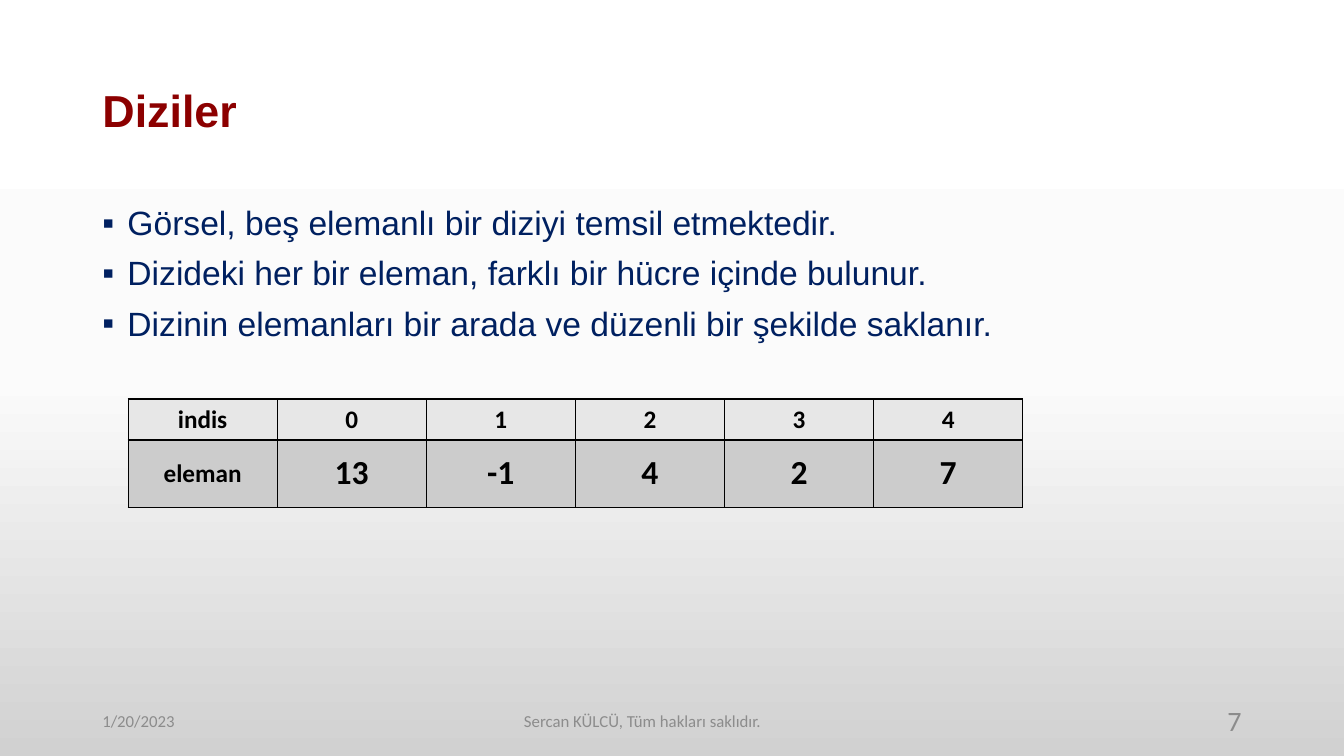
from copy import deepcopy

from lxml.etree import SubElement
from pptx import Presentation
from pptx.dml.color import RGBColor
from pptx.enum.text import MSO_ANCHOR, PP_ALIGN
from pptx.oxml import parse_xml
from pptx.oxml.ns import nsdecls, qn
from pptx.util import Emu, Pt

PX = 9525  # 96 px to the inch


def color(hex_text):
    return RGBColor.from_string(hex_text)


def write(para, text, align, style):
    para.alignment = align
    span = para.add_run()
    span.text = text
    for name, value in style.items():
        if name == "color":
            span.font.color.rgb = color(value)
        else:
            setattr(span.font, name, value)


deck = Presentation()
deck.slide_width, deck.slide_height = Emu(1280 * PX), Emu(720 * PX)
page = deck.slides.add_slide(deck.slide_layouts[5])

# Background gradient, white at the top to grey at the bottom
fill = page.background.fill
fill.gradient()
fill.gradient_angle = 270
first_stop = page.element.xpath(".//a:gsLst/a:gs")[0]
first_stop.addnext(deepcopy(first_stop))
stops = [(0, "FFFFFF"), (0.5, "FBFBFB"), (1, "D1D1D1")]
for stop, (position, shade) in zip(fill.gradient_stops, stops):
    stop.position = position
    stop.color.rgb = color(shade)

# Title
title = page.shapes.title
title.left, title.top, title.width, title.height = [
    Emu(v * PX) for v in (88, 38, 1104, 139)]
title.text_frame.vertical_anchor = MSO_ANCHOR.MIDDLE
title_para = title.text_frame.paragraphs[0]
title_para.line_spacing = 0.9
write(title_para, "Diziler", PP_ALIGN.LEFT,
      {"name": "Arial", "size": Pt(32), "bold": True, "color": "8C0000"})

# Bullet list
bullets = [
    "Görsel, beş elemanlı bir diziyi temsil etmektedir.",
    "Dizideki her bir eleman, farklı bir hücre içinde bulunur.",
    "Dizinin elemanları bir arada ve düzenli bir şekilde saklanır.",
]
box = page.shapes.add_textbox(*[Emu(v * PX) for v in (88, 192, 1104, 492)])
box.text_frame.word_wrap = True
for number, bullet in enumerate(bullets):
    para = box.text_frame.add_paragraph() if number else box.text_frame.paragraphs[0]
    properties = para._p.get_or_add_pPr()
    properties.set("marL", str(24 * PX))
    properties.set("indent", str(-24 * PX))
    SubElement(properties, qn("a:buFont")).set("typeface", "Arial")
    SubElement(properties, qn("a:buChar")).set("char", "▪")
    para.line_spacing = 0.9
    para.space_before = Pt(10 if number else 0)
    write(para, bullet, PP_ALIGN.JUSTIFY,
          {"name": "Arial", "size": Pt(24), "color": "002060"})

# Footer: date, owner, page number
footers = [
    (88, 288, "1/20/2023", PP_ALIGN.LEFT, 12),
    (248, 728, "Sercan KÜLCÜ, Tüm hakları saklıdır.", PP_ALIGN.CENTER, 12),
    (904, 288, "7", PP_ALIGN.RIGHT, 20),
]
for left, width, text, align, size in footers:
    box = page.shapes.add_textbox(*[Emu(v * PX) for v in (left, 667, width, 38)])
    box.text_frame.word_wrap = True
    box.text_frame.vertical_anchor = MSO_ANCHOR.MIDDLE
    write(box.text_frame.paragraphs[0], text, align,
          {"name": "Calibri", "size": Pt(size), "color": "8C8C8C"})

# Array table: height, fill, value size and texts of each row
rows = [
    (39, "E7E7E7", 18, ["indis", "0", "1", "2", "3", "4"]),
    (64, "CCCCCC", 24, ["eleman", "13", "-1", "4", "2", "7"]),
]
table = page.shapes.add_table(
    2, 6, *[Emu(v * PX) for v in (122, 380, 852, 103)]).table
for column in table.columns:
    column.width = Emu(142 * PX)
for row_index, (height, shade, value_size, texts) in enumerate(rows):
    table.rows[row_index].height = Emu(height * PX)
    for column_index, text in enumerate(texts):
        cell = table.cell(row_index, column_index)
        cell.vertical_anchor = MSO_ANCHOR.MIDDLE
        cell.fill.solid()
        cell.fill.fore_color.rgb = color(shade)
        size = value_size if column_index else 18
        write(cell.text_frame.paragraphs[0], text, PP_ALIGN.CENTER,
              {"name": "Calibri", "size": Pt(size), "bold": True, "color": "000000"})
        for place, side in enumerate(("lnL", "lnR", "lnT", "lnB")):
            cell._tc.get_or_add_tcPr().insert(place, parse_xml(
                f'<a:{side} {nsdecls("a")} w="12700"><a:solidFill>'
                f'<a:srgbClr val="000000"/></a:solidFill></a:{side}>'))

deck.save("out.pptx")
